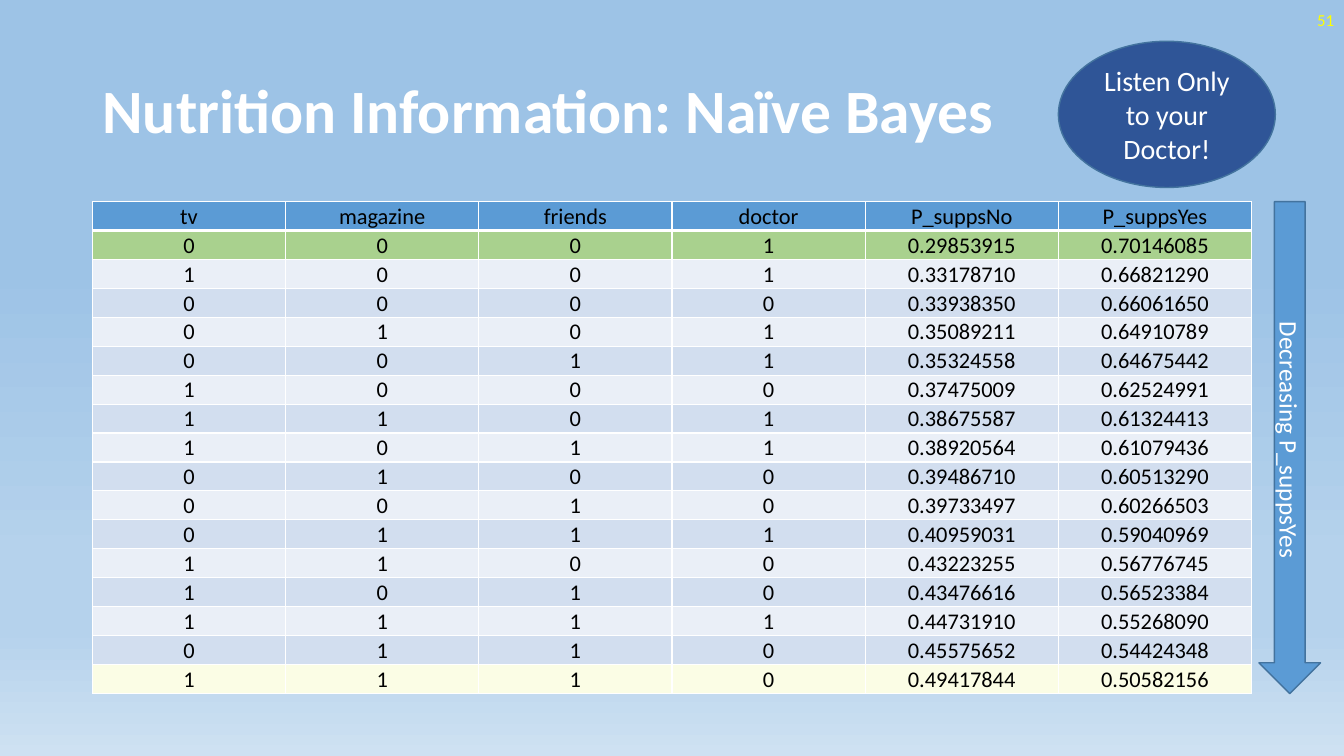
from dataclasses import dataclass

from lxml.etree import SubElement
from pptx import Presentation
from pptx.dml.color import RGBColor
from pptx.enum.shapes import MSO_SHAPE
from pptx.enum.text import MSO_ANCHOR, MSO_AUTO_SIZE, PP_ALIGN
from pptx.oxml.ns import qn
from pptx.util import Pt


@dataclass(frozen=True)
class Theme:
    font: str = "Calibri"
    title_size: int = 44
    callout_size: int = 20
    arrow_size: int = 18
    table_size: int = 16
    number_size: int = 12
    white: str = "FFFFFF"
    black: str = "000000"
    yellow: str = "FFFF00"
    blue: str = "5B9BD5"
    dark_blue: str = "2F5597"
    outline: str = "43739E"
    best_row: str = "A9D18E"
    last_row: str = "FBFDE5"
    bands: tuple = ("EAEFF7", "D2DEEF")
    background: tuple = ((35, "9DC3E6"), (74, "B5D2EC"), (83, "B5D2EC"), (100, "CEE1F2"))


THEME = Theme()

HEADERS = ["tv", "magazine", "friends", "doctor", "P_suppsNo", "P_suppsYes"]
# Values of tv, magazine, friends and doctor, then P_suppsNo
PREDICTIONS = [
    ("0001", 0.29853915),
    ("1001", 0.33178710),
    ("0000", 0.33938350),
    ("0101", 0.35089211),
    ("0011", 0.35324558),
    ("1000", 0.37475009),
    ("1101", 0.38675587),
    ("1011", 0.38920564),
    ("0100", 0.39486710),
    ("0010", 0.39733497),
    ("0111", 0.40959031),
    ("1100", 0.43223255),
    ("1010", 0.43476616),
    ("1111", 0.44731910),
    ("0110", 0.45575652),
    ("1110", 0.49417844),
]


def write_text(text_frame, text, size, color, alignment, bold=False):
    text_frame.text = text
    text_frame.word_wrap = True
    text_frame.vertical_anchor = MSO_ANCHOR.MIDDLE
    paragraph = text_frame.paragraphs[0]
    paragraph.alignment = alignment
    for run in paragraph.runs:
        run.font.name = THEME.font
        run.font.size = Pt(size)
        run.font.bold = bold
        run.font.color.rgb = RGBColor.from_string(color)


def paint_background(slide):
    fill = slide.background.fill
    fill.gradient()
    fill.gradient_angle = 270
    stop_list = next(slide.element.iter(qn("a:gsLst")))
    for stop in list(stop_list):
        stop_list.remove(stop)
    for position, color in THEME.background:
        stop = SubElement(stop_list, qn("a:gs"), pos=str(position * 1000))
        SubElement(stop, qn("a:srgbClr"), val=color)


def place_title(slide, left, top, width, height):
    title = slide.shapes.title
    title.left, title.top, title.width, title.height = map(Pt, (left, top, width, height))
    write_text(title.text_frame, "Nutrition Information: Naïve Bayes",
               THEME.title_size, THEME.white, PP_ALIGN.LEFT, bold=True)
    title.text_frame.auto_size = MSO_AUTO_SIZE.NONE
    title.text_frame.paragraphs[0].line_spacing = 0.9


def add_slide_number(slide, left, top, width, height):
    box = slide.shapes.add_textbox(*map(Pt, (left, top, width, height)))
    write_text(box.text_frame, "51", THEME.number_size, THEME.yellow, PP_ALIGN.RIGHT)


def set_borders(cell, top=1, bottom=1):
    properties = cell._tc.get_or_add_tcPr()
    for side, width in (("L", 1), ("R", 1), ("T", top), ("B", bottom)):
        line = SubElement(properties, qn(f"a:ln{side}"), w=str(Pt(width)))
        SubElement(SubElement(line, qn("a:solidFill")), qn("a:srgbClr"), val=THEME.white)


def row_color(index, last):
    special = {0: THEME.blue, 1: THEME.best_row, last: THEME.last_row}
    return special.get(index, THEME.bands[index % 2])


def add_prediction_table(slide, left, top, width, height):
    rows = [HEADERS] + [[*inputs, f"{no:.8f}", f"{1 - no:.8f}"] for inputs, no in PREDICTIONS]
    table = slide.shapes.add_table(len(rows), len(HEADERS),
                                   *map(Pt, (left, top, width, height))).table
    for column in table.columns:
        column.width = Pt(width / len(HEADERS))
    for index, values in enumerate(rows):
        table.rows[index].height = Pt(height / len(rows))
        color = row_color(index, len(rows) - 1)
        for cell, value in zip(table.rows[index].cells, values):
            set_borders(cell, top=3 if index == 1 else 1, bottom=3 if index == 0 else 1)
            cell.fill.solid()
            cell.fill.fore_color.rgb = RGBColor.from_string(color)
            cell.margin_left = cell.margin_right = cell.margin_top = Pt(0.7)
            cell.margin_bottom = Pt(0)
            write_text(cell.text_frame, value, THEME.table_size, THEME.black, PP_ALIGN.CENTER)
            cell.vertical_anchor = MSO_ANCHOR.MIDDLE


def add_labelled_shape(slide, kind, box, text, size, color):
    shape = slide.shapes.add_shape(kind, *map(Pt, box))
    shape.shadow.inherit = False
    shape.fill.solid()
    shape.fill.fore_color.rgb = RGBColor.from_string(color)
    shape.line.color.rgb = RGBColor.from_string(THEME.outline)
    shape.line.width = Pt(1)
    write_text(shape.text_frame, text, size, THEME.white, PP_ALIGN.CENTER)
    return shape


def add_order_arrow(slide, *box):
    arrow = add_labelled_shape(slide, MSO_SHAPE.DOWN_ARROW, box, "Decreasing P_suppsYes",
                               THEME.arrow_size, THEME.blue)
    arrow.text_frame._txBody.bodyPr.set("vert", "vert")


def add_callout(slide, *box):
    add_labelled_shape(slide, MSO_SHAPE.OVAL, box, "Listen Only to your Doctor!",
                       THEME.callout_size, THEME.dark_blue)


def build_prediction_slide(presentation):
    slide = presentation.slides.add_slide(presentation.slide_layouts[5])
    paint_background(slide)
    # Heading
    left, width = 66, 828
    place_title(slide, left, 28.8, width, 104.4)
    add_slide_number(slide, 744, 0, 216, 28.8)
    # Table with the arrow beside it
    top, height = 144, 351.4
    add_prediction_table(slide, left, top, width, height)
    add_order_arrow(slide, left + width + 5.3, top, 44, height)
    # Conclusion
    add_callout(slide, 756, 29.5, 155, 104.4)


def main():
    presentation = Presentation()
    presentation.slide_width, presentation.slide_height = Pt(960), Pt(540)
    build_prediction_slide(presentation)
    presentation.save("out.pptx")


if __name__ == "__main__":
    main()
